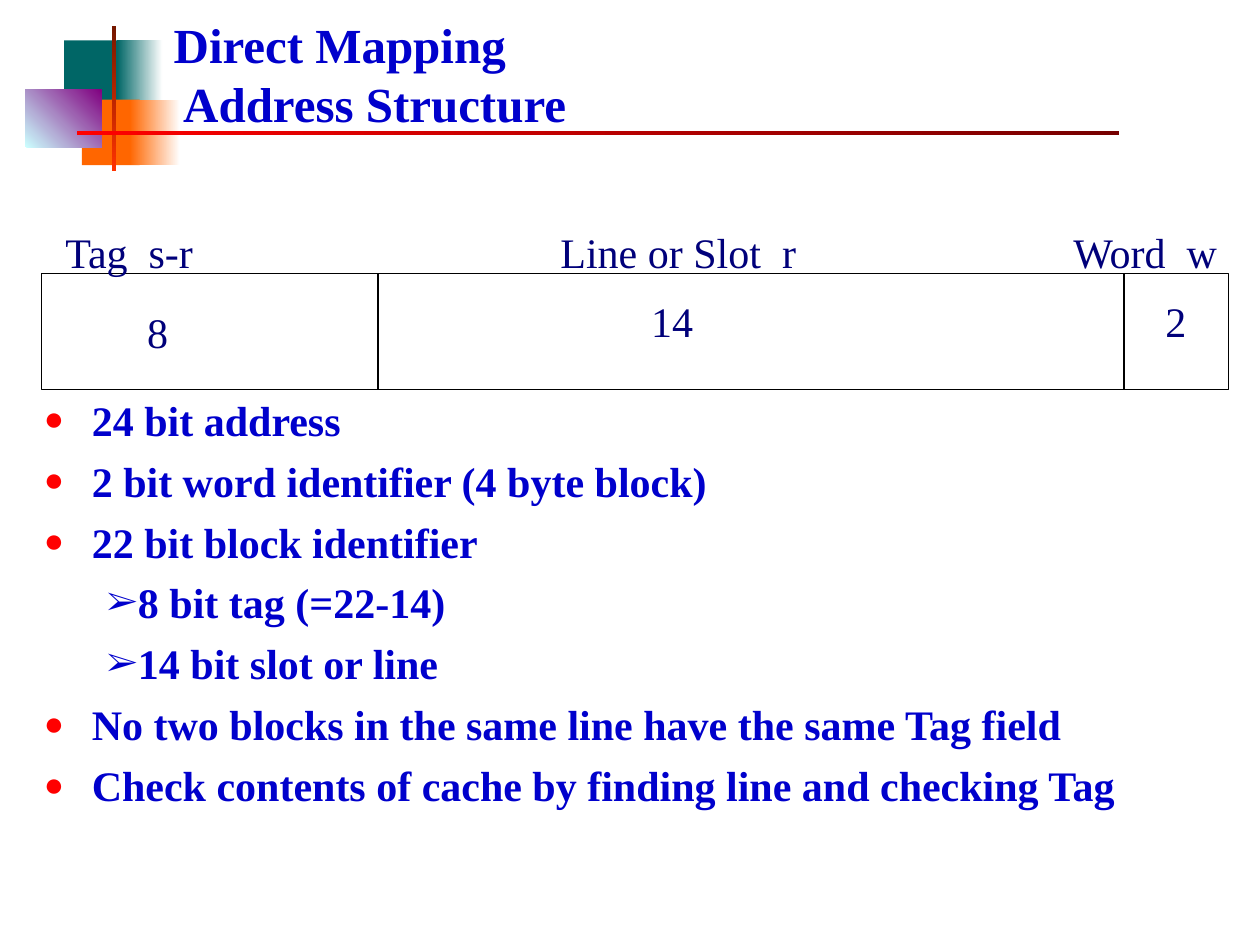
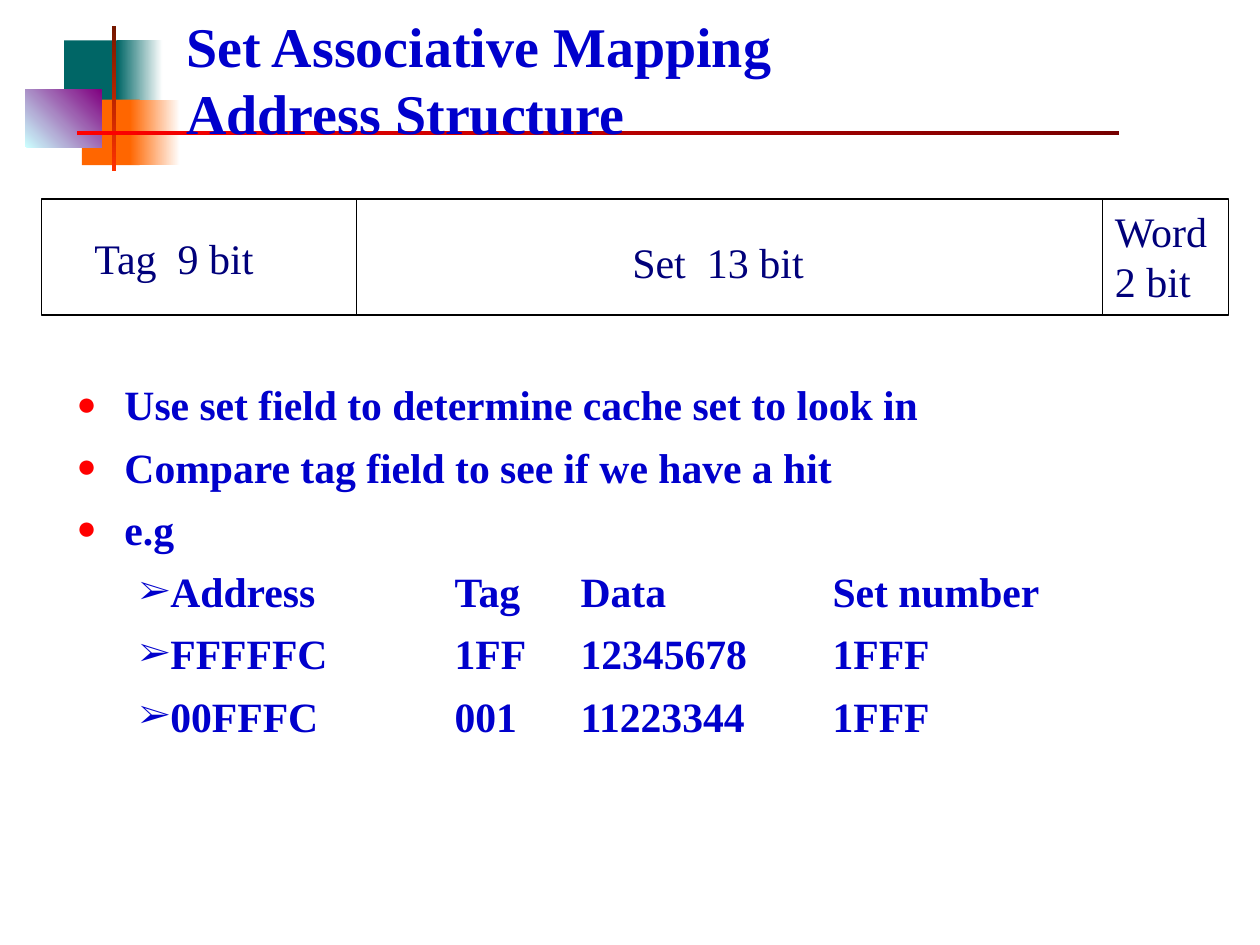
import lxml.etree
import pptx
import pptx.dml.color
import pptx.enum.shapes
import pptx.enum.text
import pptx.oxml.ns
import pptx.util

FONT = "Times New Roman"
BLUE, NAVY, RED, BLACK = "0000CC", "00007A", "FF0000", "000000"
WIDE, HIGH = 10, 7.5
BAR_LEFT, BAR_WIDE, BAR_HIGH = 0.33, 9.42, 0.92
LABEL_HIGH = 0.5
COLS = 3, 4, 6  # tab stops of the example rows, in inches

# left, top, width, height, colours, clockwise angle of the gradient
DECOR = [
    (0.51, 0.32, 0.48, 0.52, ["006666"], 0),
    (0.93, 0.32, 0.36, 0.52, ["006666", "FFFFFF"], 0),
    (0.65, 0.79, 0.46, 0.52, ["FF6600"], 0),
    (1.03, 0.79, 0.40, 0.52, ["FF6600", "FFFFFF"], 0),
    (0.20, 0.71, 0.61, 0.46, ["CCFFFF", "800080"], 315),
    (0.89, 0.21, 0.03, 1.15, ["761800", "FF3300"], 90),
    (0.61, 1.04, 8.27, 0.03, ["FF0000", "760000"], 0),
]

# bullets: (level, text); labels: (text, left, top relative to the bar, width)
SLIDES = [
    {
        "title": "Direct Mapping\n Address Structure",
        "title_at": (1.28, 0.07, 7.81, 1.1), "title_size": 28,
        "bar_top": 2.17, "splits": [3, 8.92],
        "labels": [
            ("Tag  s-r", 0.42, -0.42, 1.23),
            ("Line or Slot  r", 4.35, -0.42, 2.07),
            ("Word  w", 8.42, -0.42, 1.36),
            ("8", 1.07, 0.21, 0.36),
            ("14", 5.07, 0.13, 0.53),
            ("2", 9.15, 0.13, 0.36),
        ],
        "body_at": (0.25, 3.08, 9.19, 3.54), "body_size": 24, "gap": 6,
        "bullets": [
            (0, "24 bit address"),
            (0, "2 bit word identifier (4 byte block)"),
            (0, "22 bit block identifier"),
            (1, "8 bit tag (=22-14)"),
            (1, "14 bit slot or line"),
            (0, "No two blocks in the same line have the same Tag field"),
            (0, "Check contents of cache by finding line and checking Tag"),
        ],
    },
    {
        "title": "Set Associative Mapping\nAddress Structure",
        "title_at": (1.38, 0.04, 7.02, 1.2), "title_size": 32,
        "bar_top": 1.58, "splits": [2.83, 8.75],
        "labels": [
            ("Tag  9 bit", 0.65, 0.22, 1.48),
            ("Set  13 bit", 4.92, 0.25, 1.56),
            ("Word\n2 bit", 8.75, 0, 0.96),
        ],
        "body_at": (0.51, 2.96, 9, 3.48), "body_size": 23.8, "gap": 7,
        "bullets": [
            (0, "Use set field to determine cache set to look in"),
            (0, "Compare tag field to see if we have a hit"),
            (0, "e.g"),
            (1, "Address\tTag\tData\tSet number"),
            (1, "FFFFFC\t1FF\t12345678\t1FFF"),
            (1, "00FFFC\t001\t11223344\t1FFF"),
        ],
    },
]

# per level: bullet mark, its colour, left margin, first line indent
MARKS = [("●", RED, 0.38, -0.38), ("➢", BLUE, 0.21, 0.29)]


def inch(*vals):
    return [pptx.util.Inches(v) for v in vals]


def rgb(code):
    return pptx.dml.color.RGBColor.from_string(code)


def child(node, tag, **attrs):
    return lxml.etree.SubElement(node, pptx.oxml.ns.qn(tag), attrs)


def style(par, size, color, bold=False):
    for run in par.runs:
        font = run.font
        font.name, font.size, font.bold = FONT, pptx.util.Pt(size), bold
        font.color.rgb = rgb(color)


def add_text(slide, at, wrap=True):
    """Add an empty text box and return its frame."""
    frame = slide.shapes.add_textbox(*inch(*at)).text_frame
    frame.word_wrap = wrap
    return frame


def add_rect(slide, at):
    rect = slide.shapes.add_shape(
        pptx.enum.shapes.MSO_SHAPE.RECTANGLE, *inch(*at))
    rect.shadow.inherit = False
    return rect


def add_decor(slide):
    for *at, colors, angle in DECOR:
        rect = add_rect(slide, at)
        rect.line.fill.background()
        if len(colors) == 1:
            rect.fill.solid()
            rect.fill.fore_color.rgb = rgb(colors[0])
            continue
        rect.fill.gradient()
        rect.fill.gradient_angle = (360 - angle) % 360
        for stop, color in zip(rect.fill.gradient_stops, colors):
            stop.color.rgb = rgb(color)


def add_title(slide, data):
    par = add_text(slide, data["title_at"]).paragraphs[0]
    par.text = data["title"]
    style(par, data["title_size"], BLUE, True)


def outline(shape):
    shape.line.color.rgb = rgb(BLACK)
    shape.line.width = pptx.util.Pt(0.75)


def add_bar(slide, data):
    """Draw the address bar, its field borders and its labels."""
    top = data["bar_top"]
    bar = add_rect(slide, (BAR_LEFT, top, BAR_WIDE, BAR_HIGH))
    bar.fill.background()
    outline(bar)
    for x in data["splits"]:
        split = slide.shapes.add_connector(
            pptx.enum.shapes.MSO_CONNECTOR.STRAIGHT,
            *inch(x, top, x, top + BAR_HIGH))
        outline(split)
        child(split._element.spPr, "a:effectLst")
    for text, left, drop, width in data["labels"]:
        high = LABEL_HIGH + 0.4 * text.count("\n")
        frame = add_text(slide, (left, top + drop, width, high), False)
        frame.auto_size = pptx.enum.text.MSO_AUTO_SIZE.SHAPE_TO_FIT_TEXT
        frame.text = text
        for par in frame.paragraphs:
            style(par, 24, NAVY)


def add_mark(par, level):
    mark, color, left, indent = MARKS[level]
    props = par._p.get_or_add_pPr()
    props.set("marL", str(pptx.util.Inches(left)))
    props.set("indent", str(pptx.util.Inches(indent)))
    child(child(props, "a:buClr"), "a:srgbClr", val=color)
    child(props, "a:buSzPct", val="80000")
    child(props, "a:buFont", typeface=FONT)
    child(props, "a:buChar", char=mark)
    if "\t" in par.text:
        tabs = child(props, "a:tabLst")
        for col in COLS:
            child(tabs, "a:tab", pos=str(pptx.util.Inches(col)), algn="l")


def add_body(slide, data):
    frame = add_text(slide, data["body_at"])
    frame.text = "\n".join(text for _, text in data["bullets"])
    align = pptx.enum.text.PP_ALIGN
    for par, (level, _) in zip(frame.paragraphs, data["bullets"]):
        par.level = level
        par.alignment = align.LEFT if level else align.JUSTIFY
        par.space_before = pptx.util.Pt(data["gap"])
        add_mark(par, level)
        style(par, data["body_size"], BLUE, True)


def main():
    deck = pptx.Presentation()
    deck.slide_width, deck.slide_height = inch(WIDE, HIGH)
    for data in SLIDES:
        slide = deck.slides.add_slide(deck.slide_layouts[6])
        add_decor(slide)
        add_title(slide, data)
        add_bar(slide, data)
        add_body(slide, data)
    deck.save("out.pptx")


if __name__ == "__main__":
    main()
